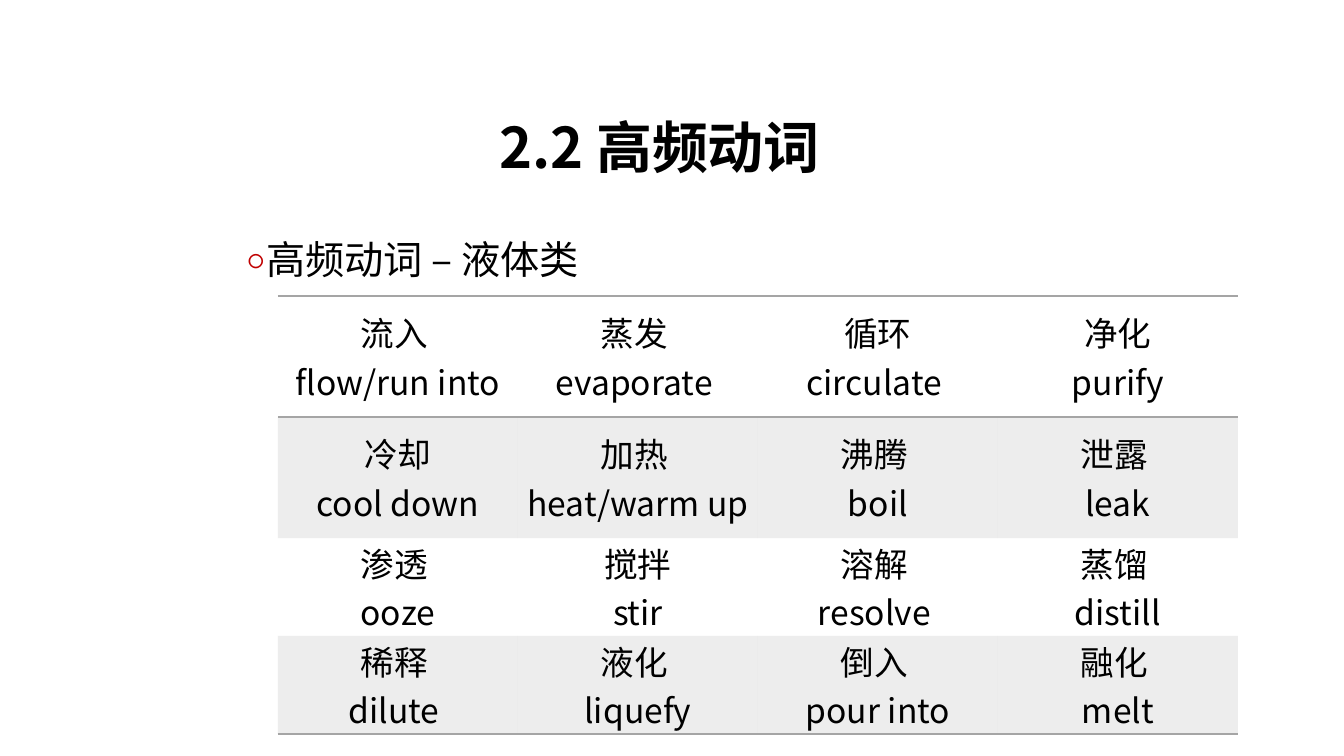
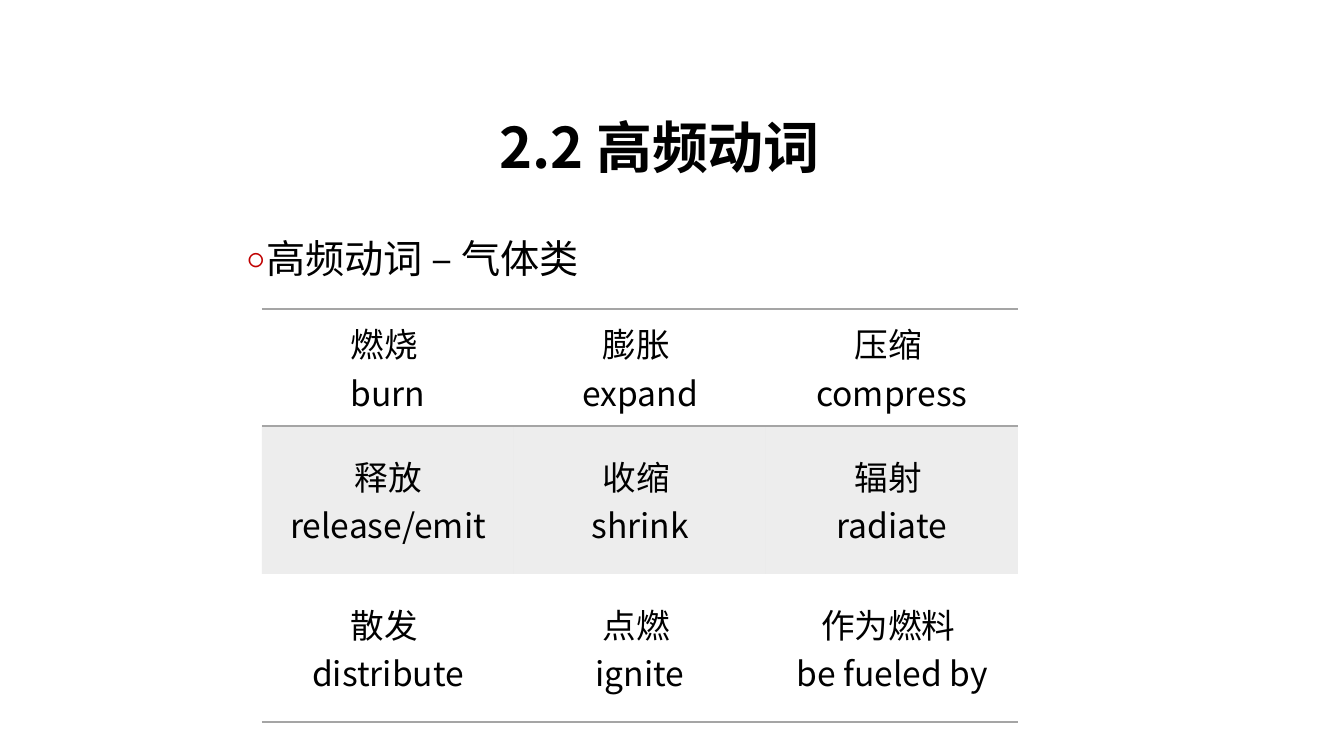
from pptx import Presentation
from pptx.dml.color import RGBColor
from pptx.enum.text import MSO_ANCHOR, MSO_AUTO_SIZE, PP_ALIGN
from pptx.oxml.ns import qn
from pptx.util import Emu, Pt
from lxml.etree import SubElement

EMU_PER_PX = 914400 / 100.8
FONT = "Noto Sans CJK SC"
BLACK, GREY, RED = "000000", "A5A5A5", "C00000"
NO_TABLE_STYLE = "{2D5ABB26-0587-4C30-8999-92F81FD0307C}"
TITLE_BOX = (225, 95, 869, 110)
TITLE = "2.2 高频动词"

LIQUID_VERBS = [
    ["流入 \nflow/run into", "蒸发 \nevaporate ", "循环\ncirculate ", "净化\npurify"],
    ["冷却\ncool down", "加热 \nheat/warm up", "沸腾 \nboil", "泄露 \nleak"],
    ["渗透 \nooze", "搅拌\nstir", "溶解 \nresolve ", "蒸馏 \ndistill"],
    ["稀释 \ndilute ", "液化 \nliquefy", "倒入 \npour into", "融化 \nmelt"],
]
GAS_VERBS = [
    ["燃烧 \nburn", "膨胀 \nexpand", "压缩 \ncompress"],
    ["释放 release/emit", "收缩 \nshrink", "辐射 \nradiate"],
    ["散发 \ndistribute", "点燃 \nignite", "作为燃料 \nbe fueled by"],
]


def px(length):
    """Turn pixels into EMU."""
    return Emu(round(length * EMU_PER_PX))


def color(hex_code):
    """Turn a hex string into a colour."""
    return RGBColor.from_string(hex_code)


def style_span(span, size, bold=False):
    """Format one run in the deck's font."""
    span.font.size = Pt(size)
    span.font.bold = bold
    span.font.color.rgb = color(BLACK)
    span.font.name = FONT
    SubElement(span.font._element, qn("a:ea"), typeface=FONT)


def place(shape, box):
    """Move a shape to a box of left, top, width and height."""
    shape.left, shape.top, shape.width, shape.height = map(px, box)


def add_title(page, box):
    """Fill and format the title placeholder."""
    title = page.shapes.title
    place(title, box)
    frame = title.text_frame
    frame.auto_size = MSO_AUTO_SIZE.NONE
    frame.vertical_anchor = MSO_ANCHOR.MIDDLE
    frame.margin_left = frame.margin_right = px(7)
    frame.margin_top = frame.margin_bottom = px(4)
    para = frame.paragraphs[0]
    para.text = TITLE
    para.alignment = PP_ALIGN.CENTER
    para.line_spacing = 0.9
    style_span(para.runs[0], 40, bold=True)


def add_topic(page, box, text):
    """Add the bulleted topic line."""
    frame = page.shapes.add_textbox(*map(px, box)).text_frame
    frame.word_wrap = True
    para = frame.paragraphs[0]
    para.text = text
    para.line_spacing = 0.9
    properties = para._p.get_or_add_pPr()
    properties.set("marL", str(px(19)))
    properties.set("indent", str(px(-19)))
    bullet_color = SubElement(properties, qn("a:buClr"))
    SubElement(bullet_color, qn("a:srgbClr"), val=RED)
    SubElement(properties, qn("a:buFont"), typeface=FONT)
    SubElement(properties, qn("a:buChar"), char="￮")
    style_span(para.runs[0], 28)


def set_rule(cell, side, visible):
    """Draw a grey line on one side of a cell, or clear that side."""
    line = SubElement(cell._tc.get_or_add_tcPr(), qn(f"a:ln{side}"), w=str(Pt(1)))
    if visible:
        fill = SubElement(line, qn("a:solidFill"))
        SubElement(fill, qn("a:srgbClr"), val=GREY)
    else:
        SubElement(line, qn("a:noFill"))


def shade(cell):
    """Fill a cell with transparent grey."""
    cell.fill.solid()
    cell.fill.fore_color.rgb = color(GREY)
    tint = cell._tc.tcPr.find(f"{qn('a:solidFill')}/{qn('a:srgbClr')}")
    SubElement(tint, qn("a:alpha"), val="20000")


def fill_cell(cell, text):
    """Write centred verbs into a cell."""
    cell.vertical_anchor = MSO_ANCHOR.MIDDLE
    cell.margin_left = cell.margin_right = px(6)
    cell.margin_top = cell.margin_bottom = 0
    cell.text_frame.text = text
    for para in cell.text_frame.paragraphs:
        para.alignment = PP_ALIGN.CENTER
        style_span(para.runs[0], 24)


def add_verb_table(page, left, top, column_width, row_heights, verbs):
    """Add the banded verb table with rules around its head and at its foot."""
    columns = len(verbs[0])
    box = (left, top, column_width * columns, sum(row_heights))
    table = page.shapes.add_table(len(verbs), columns, *map(px, box)).table
    table.first_row = table.horz_banding = False
    table._tbl.tblPr.find(qn("a:tableStyleId")).text = NO_TABLE_STYLE
    for column in table.columns:
        column.width = px(column_width)
    for index, (height, words) in enumerate(zip(row_heights, verbs)):
        table.rows[index].height = px(height)
        for cell, text in zip(table.rows[index].cells, words):
            fill_cell(cell, text)
            set_rule(cell, "T", index < 2)
            set_rule(cell, "B", index in (0, len(verbs) - 1))
            if index % 2:
                shade(cell)
            else:
                cell.fill.background()


def add_verb_page(deck, topic, topic_top, **table_parts):
    """Add one slide of verbs."""
    page = deck.slides.add_slide(deck.slide_layouts[5])
    add_title(page, TITLE_BOX)
    add_topic(page, (237, topic_top, 869, 360), topic)
    add_verb_table(page, **table_parts)


def main():
    """Build and save the deck."""
    deck = Presentation()
    deck.slide_width, deck.slide_height = px(1344), px(756)
    add_verb_page(deck, "高频动词 – 液体类", 236, left=278, top=296, column_width=240,
                  row_heights=[121, 121, 98, 98], verbs=LIQUID_VERBS)
    add_verb_page(deck, "高频动词 – 气体类", 235, left=262, top=309, column_width=252,
                  row_heights=[117, 148, 148], verbs=GAS_VERBS)
    deck.save("out.pptx")


if __name__ == "__main__":
    main()
